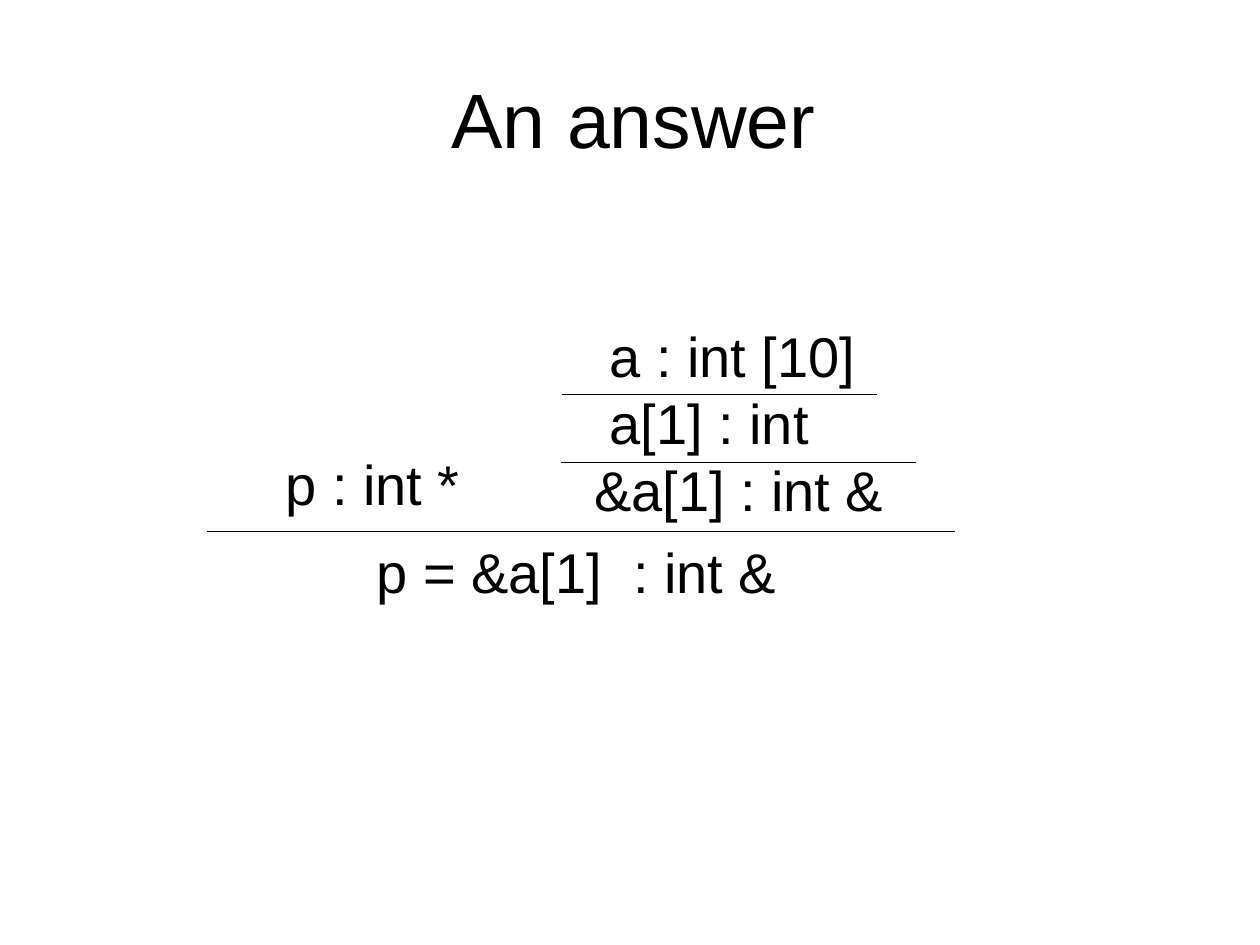
from lxml import etree
from pptx import Presentation
from pptx.dml.color import RGBColor
from pptx.enum.shapes import MSO_CONNECTOR
from pptx.enum.text import MSO_ANCHOR, PP_ALIGN
from pptx.oxml.ns import qn
from pptx.util import Cm, Pt

STRAIGHT = MSO_CONNECTOR.STRAIGHT
MIDDLE, TOP = MSO_ANCHOR.MIDDLE, MSO_ANCHOR.TOP
LEFT, CENTER = PP_ALIGN.LEFT, PP_ALIGN.CENTER
TITLE_ONLY = 5


def color(value):
    return RGBColor.from_string(value)


class Deck:
    font = "Arial"
    ink = "000000"
    title_size = 44
    body_size = 32
    leading = 1.2
    rule_width = 0.75

    def __init__(self, width, height):
        self.prs = Presentation()
        self.prs.slide_width, self.prs.slide_height = Cm(width), Cm(height)

    def add_slide(self):
        self.s = self.prs.slides.add_slide(self.prs.slide_layouts[TITLE_ONLY])
        fill = self.s.background.fill
        fill.solid()
        fill.fore_color.rgb = color("FFFFFF")

    def set_text(self, p, text, size, align, indent=0):
        p.alignment = align
        p.line_spacing = Pt(size * self.leading)
        p.space_before = Pt(0)
        if indent:
            p._p.get_or_add_pPr().set("marL", str(Cm(indent)))
        r = p.add_run()
        r.text = text
        r.font.name = self.font
        r.font.size = Pt(size)
        r.font.color.rgb = color(self.ink)

    def title(self, text, x, y, w, h):
        sp = self.s.shapes.title
        sp.left, sp.top, sp.width, sp.height = Cm(x), Cm(y), Cm(w), Cm(h)
        tf = sp.text_frame
        tf.vertical_anchor = MIDDLE
        self.set_text(tf.paragraphs[0], text, self.title_size, CENTER)

    def judgements(self, lines, x, y, w, h):
        sp = self.s.shapes.add_textbox(Cm(x), Cm(y), Cm(w), Cm(h))
        tf = sp.text_frame
        tf.word_wrap = True
        tf.vertical_anchor = TOP
        for i, (text, indent) in enumerate(lines):
            p = tf.add_paragraph() if i else tf.paragraphs[0]
            self.set_text(p, text, self.body_size, LEFT, indent)

    def rule(self, x1, x2, y):
        line = self.s.shapes.add_connector(STRAIGHT, Cm(x1), Cm(y), Cm(x2), Cm(y))
        line.line.color.rgb = color(self.ink)
        line.line.width = Pt(self.rule_width)
        etree.SubElement(line._element.spPr, qn("a:effectLst"))


def main():
    deck = Deck(25.4, 19.05)
    deck.add_slide()
    deck.title("An answer", 1.98, 0.79, 21.59, 3.18)
    deck.judgements([("p : int *", 0.94)], 4.57, 8.94, 5.77, 1.57)
    deck.judgements([("p = &a[1]  : int &", 0)], 7.34, 10.72, 8.66, 1.63)
    deck.judgements(
        [("a : int [10]", 0.31), ("a[1] : int", 0.31), ("&a[1] : int &", 0)],
        11.73, 6.35, 6.4, 4.37,
    )
    for x1, x2, y in [(11.33, 17.68, 7.95), (11.3, 18.47, 9.32), (4.17, 19.25, 10.72)]:
        deck.rule(x1, x2, y)
    deck.prs.save("out.pptx")


if __name__ == "__main__":
    main()
